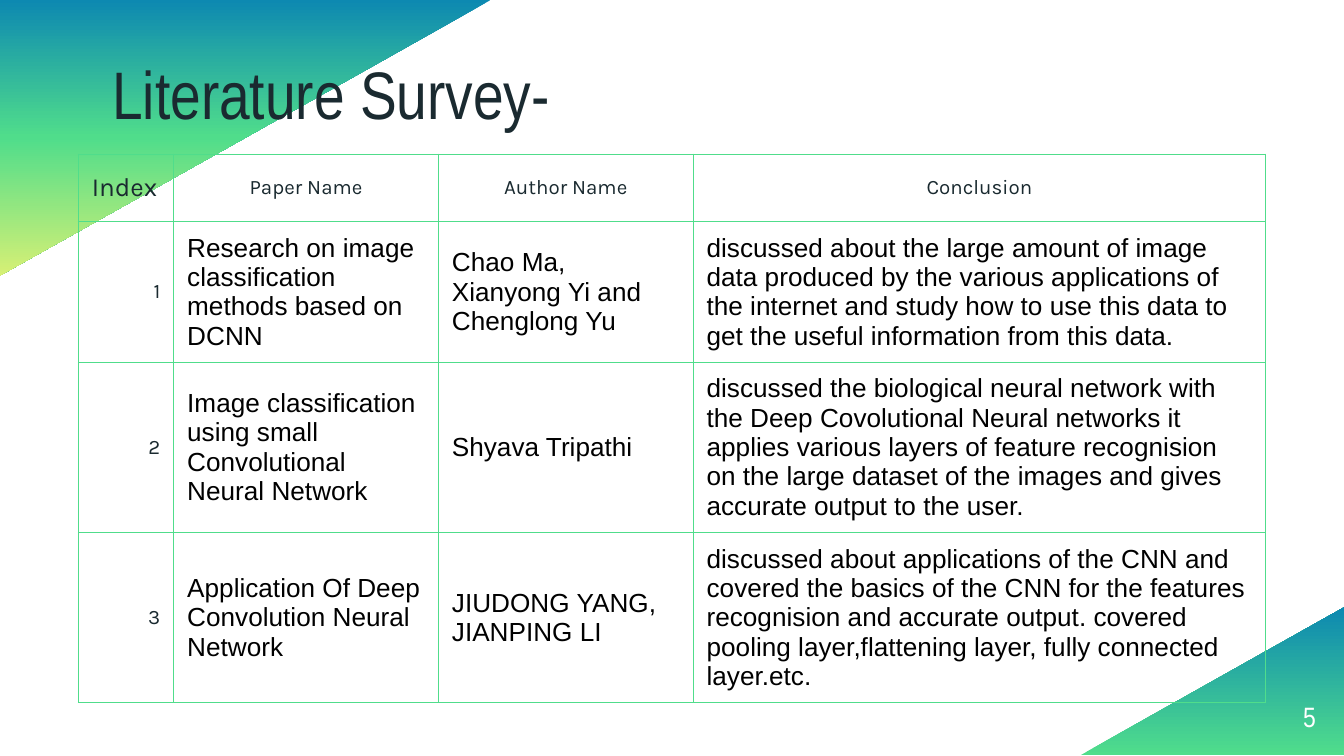
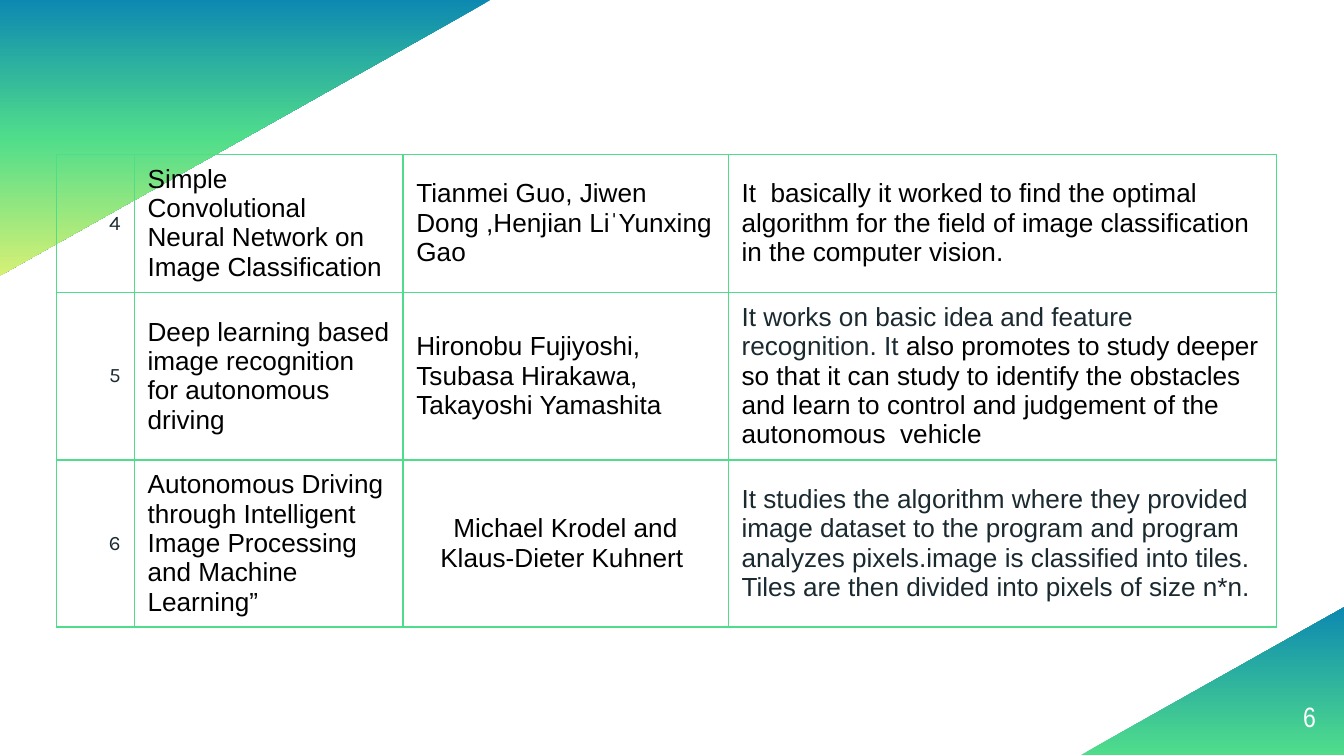
from lxml import etree
from pptx import Presentation
from pptx.dml.color import RGBColor
from pptx.enum.shapes import MSO_SHAPE
from pptx.enum.text import MSO_ANCHOR, PP_ALIGN
from pptx.oxml import parse_xml
from pptx.oxml.ns import nsdecls
from pptx.util import Inches, Pt

TRIANGLE = MSO_SHAPE.RIGHT_TRIANGLE
LEFT, CENTER, RIGHT = PP_ALIGN.LEFT, PP_ALIGN.CENTER, PP_ALIGN.RIGHT
MIDDLE, BOTTOM = MSO_ANCHOR.MIDDLE, MSO_ANCHOR.BOTTOM

INK, BLACK, WHITE = "1A2A30", "000000", "FFFFFF"
BLUE, GREEN, LIME = "0D89B1", "50DD8B", "D6F075"
HEADING, LABEL, BODY = "Arial Narrow", "Karla", "Arial"

deck = Presentation()
deck.slide_width, deck.slide_height = Inches(10), Inches(5.625)


def place(left, top, width, height):
    across, down = deck.slide_width / 100, deck.slide_height / 100
    return int(left * across), int(top * down), int(width * across), int(height * down)


def add_run(paragraph, text, font, size, color):
    run = paragraph.add_run()
    run.text = text
    run.font.name = font
    run.font.size = Pt(size)
    run.font.bold = False
    run.font.color.rgb = RGBColor.from_string(color)


corners = [
    (place(8, -14.22, 20.5, 64.89), 90, [(0, BLUE), (50, GREEN), (100, LIME)]),
    (place(84.7, 72.71, 11, 34.84), 270, [(0, GREEN), (100, BLUE)]),
]

surveys = [
    {
        "title": "Literature Survey-",
        "page": 5,
        "first": 1,
        "left": 5.83,
        "columns": [7.1, 19.7, 18.95, 42.6],
        "rows": [8.93, 18.6, 22.55, 22.5],
        "header": ["Index", "Paper Name", "Author Name", "Conclusion"],
        "papers": [
            ("Research on image classification methods based on DCNN",
             "Chao Ma, Xianyong Yi and Chenglong Yu", LEFT,
             [("discussed about the large amount of image data produced by the various "
               "applications of the internet and study how to use this data to get the "
               "useful information from this data.", BLACK)]),
            ("Image classification using small Convolutional Neural Network",
             "Shyava Tripathi", LEFT,
             [("discussed the biological neural network with the Deep Covolutional Neural "
               "networks it applies various layers of feature recognision on the large "
               "dataset of the images and gives accurate output to the user.", BLACK)]),
            ("Application Of Deep Convolution Neural Network",
             "JIUDONG YANG, JIANPING LI", LEFT,
             [("discussed about applications of the CNN and covered the basics of the CNN "
               "for the features recognision and accurate output. covered pooling "
               "layer,flattening layer, fully connected layer.etc.", BLACK)]),
        ],
    },
    {
        "title": None,
        "page": 6,
        "first": 4,
        "left": 4.18,
        "columns": [5.8, 20, 24.2, 40.8],
        "rows": [18.25, 22.2, 22.1],
        "header": [],
        "papers": [
            ("Simple Convolutional Neural Network on Image Classification",
             "Tianmei Guo, Jiwen Dong ,Henjian LiˈYunxing Gao", LEFT,
             [("It  basically it worked to find the optimal algorithm for the field of "
               "image classification in the computer vision.", BLACK)]),
            ("Deep learning based image recognition for autonomous driving",
             "Hironobu Fujiyoshi, Tsubasa Hirakawa, Takayoshi Yamashita", LEFT,
             [("It works on basic idea and feature recognition. It ", INK),
              ("also promotes to study deeper so that it can study to identify the "
               "obstacles and learn to control and judgement of the autonomous  vehicle",
               BLACK)]),
            ("Autonomous Driving through Intelligent Image Processing and Machine Learning”",
             "Michael Krodel and Klaus-Dieter Kuhnert ", CENTER,
             [("It studies the algorithm where they provided image dataset to the program "
               "and program analyzes pixels.image is classified into tiles. Tiles are then "
               "divided into pixels of size n*n.", INK)]),
        ],
    },
]

for survey in surveys:
    slide = deck.slides.add_slide(deck.slide_layouts[6])

    for box, turn, stops in corners:
        corner = slide.shapes.add_shape(TRIANGLE, *box)
        corner.rotation = turn
        corner.shadow.inherit = False
        corner.line.fill.background()
        corner.fill.gradient()
        gradient = corner.fill._xPr.find(".//{*}gradFill")
        stop_xml = "".join(
            f'<a:gs pos="{share * 1000}"><a:srgbClr val="{color}"/></a:gs>'
            for share, color in stops)
        gradient.getparent().replace(gradient, parse_xml(
            f'<a:gradFill rotWithShape="1" {nsdecls("a")}><a:gsLst>{stop_xml}</a:gsLst>'
            '<a:lin ang="0" scaled="0"/></a:gradFill>'))

    captions = [(str(survey["page"]), place(91.9, 90.95, 6, 7.64), MIDDLE, RIGHT, 15, WHITE, 1)]
    if survey["title"]:
        captions.append(
            (survey["title"], place(8.35, 10.05, 81.4, 7.64), BOTTOM, LEFT, 36, INK, 0.9))
    for text, box, anchor, align, size, color, spacing in captions:
        frame = slide.shapes.add_textbox(*box).text_frame
        frame.word_wrap = True
        frame.vertical_anchor = anchor
        frame.margin_left = frame.margin_right = frame.margin_top = frame.margin_bottom = 0
        frame.paragraphs[0].alignment = align
        frame.paragraphs[0].line_spacing = spacing
        add_run(frame.paragraphs[0], text, HEADING, size, color)

    grid = []
    if survey["header"]:
        grid.append([
            (CENTER if column else LEFT, [(name, LABEL, 11 if column else 14, INK)])
            for column, name in enumerate(survey["header"])])
    for index, (paper, authors, align, conclusion) in enumerate(survey["papers"], survey["first"]):
        grid.append([
            (RIGHT, [(str(index), LABEL, 11, INK)]),
            (LEFT, [(paper, BODY, 14, BLACK)]),
            (align, [(authors, BODY, 14, BLACK)]),
            (LEFT, [(text, BODY, 14, color) for text, color in conclusion]),
        ])

    columns, rows = survey["columns"], survey["rows"]
    table = slide.shapes.add_table(
        len(rows), len(columns),
        *place(survey["left"], 20.4, sum(columns), sum(rows))).table
    table.first_row = table.horz_banding = False
    for column, width in zip(table.columns, columns):
        column.width = place(0, 0, width, 0)[2]
    for row, height in zip(table.rows, rows):
        row.height = place(0, 0, 0, height)[3]

    for r, entries in enumerate(grid):
        for c, (align, runs) in enumerate(entries):
            cell = table.cell(r, c)
            cell.fill.background()
            cell.vertical_anchor = MIDDLE
            cell.margin_left = cell.margin_right = Inches(0.1)
            cell.margin_top = cell.margin_bottom = Inches(0.03)
            paragraph = cell.text_frame.paragraphs[0]
            paragraph.alignment = align
            for run in runs:
                add_run(paragraph, *run)
            properties = cell._tc.get_or_add_tcPr()
            for position, side in enumerate("LRTB"):
                properties.insert(position, etree.fromstring(
                    f'<a:ln{side} w="9525" {nsdecls("a")}><a:solidFill>'
                    f'<a:srgbClr val="{GREEN}"/></a:solidFill></a:ln{side}>'))

deck.save("out.pptx")
